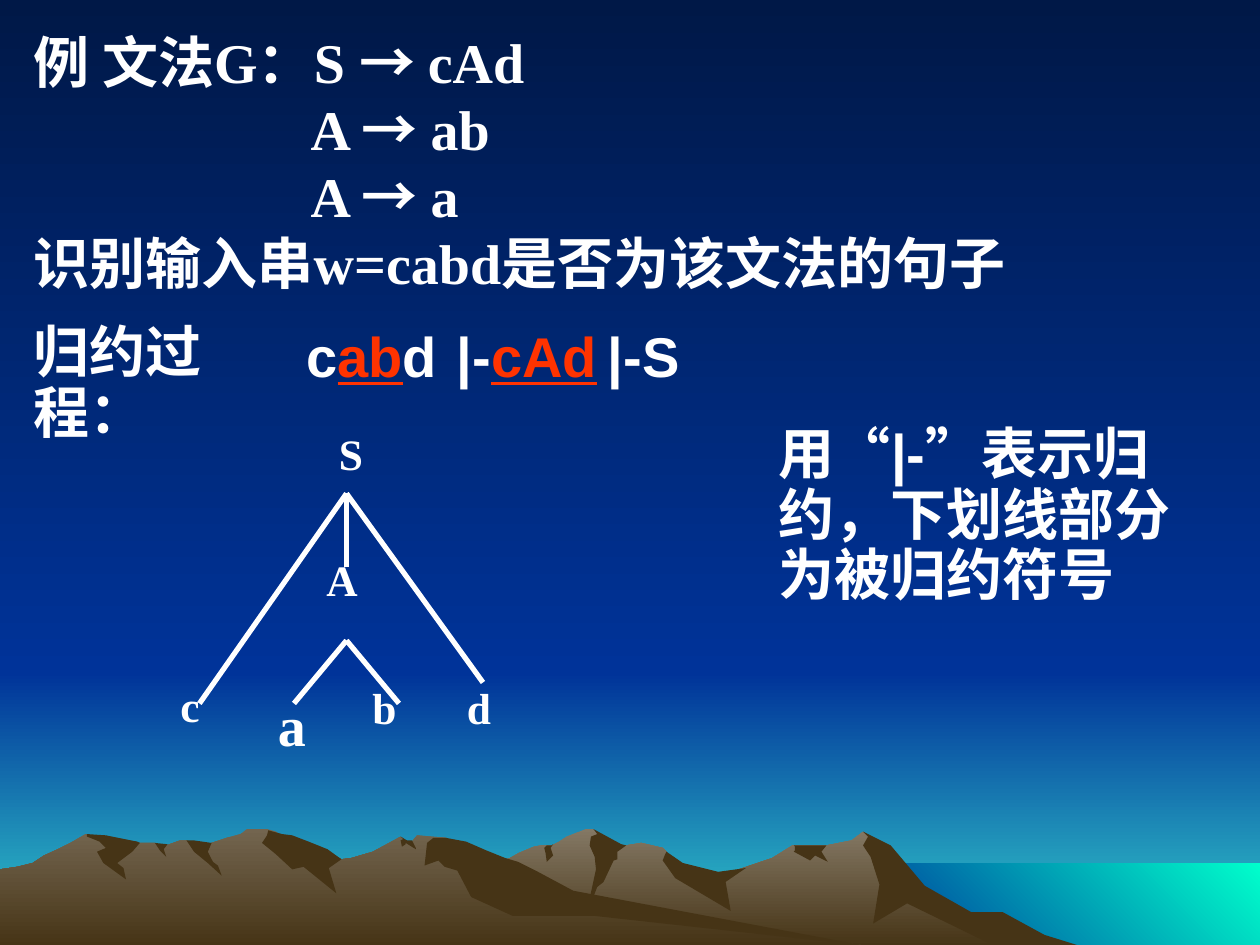
from lxml import etree
from pptx import Presentation
from pptx.dml.color import RGBColor
from pptx.enum.shapes import MSO_CONNECTOR, MSO_SHAPE
from pptx.enum.text import MSO_AUTO_SIZE, PP_ALIGN
from pptx.oxml.ns import qn
from pptx.util import Inches, Pt

STRAIGHT = MSO_CONNECTOR.STRAIGHT
RECTANGLE = MSO_SHAPE.RECTANGLE
GROW = MSO_AUTO_SIZE.SHAPE_TO_FIT_TEXT
LEFT, CENTER, JUSTIFY = PP_ALIGN.LEFT, PP_ALIGN.CENTER, PP_ALIGN.JUSTIFY

NIGHT = RGBColor(0x00, 0x18, 0x47)
BLUE = RGBColor(0x00, 0x33, 0x99)
TEAL = RGBColor(0x33, 0xCC, 0xCC)
AQUA = RGBColor(0x00, 0xFF, 0xCC)
STONE = RGBColor(0x84, 0x78, 0x64)
CLAY = RGBColor(0x73, 0x65, 0x4F)
EARTH = RGBColor(0x46, 0x34, 0x16)
WHITE = RGBColor(0xFF, 0xFF, 0xFF)
RED = RGBColor(0xFF, 0x33, 0x00)

SERIF, SANS, HAN = "Times New Roman", "Arial", "Noto Sans CJK SC"
COLUMNS, ROWS = 120, 90
DOWN, UP_RIGHT = 270, 45

# Mountain outlines, in hundredths of an inch
RIGHT_RANGE = [
    (802, 740), (778, 727), (764, 723), (723, 698), (702, 671), (685, 660), (676, 667),
    (656, 671), (629, 671), (613, 681), (566, 697), (536, 690), (529, 676), (526, 673),
    (509, 669), (497, 671), (486, 673), (474, 661), (471, 658), (465, 658), (450, 664),
    (444, 668), (438, 671), (430, 671), (424, 672), (412, 677), (405, 681), (394, 685),
    (355, 698), (327, 709), (277, 739), (258, 751), (821, 751)]
RIGHT_SHADES = [
    [(796, 724), (771, 724), (734, 703), (707, 671), (685, 660), (689, 664), (685, 671),
     (691, 680), (698, 702), (693, 733), (720, 717), (792, 752), (858, 751), (829, 742)],
    [(471, 658), (474, 662), (469, 664), (468, 671), (472, 680), (473, 690), (465, 727),
     (474, 704), (479, 700), (487, 683), (490, 682), (490, 676), (497, 671), (493, 670)],
    [(529, 676), (528, 678), (526, 683), (536, 697), (580, 723), (576, 700), (592, 689),
     (570, 692), (542, 685)],
    [(650, 671), (630, 671), (631, 672), (631, 675), (630, 676), (643, 683), (647, 679),
     (657, 684), (652, 676), (656, 671)],
    [(433, 677), (432, 673), (434, 671), (438, 671), (439, 670), (437, 673), (439, 679),
     (434, 684)]]
LEFT_RANGE = [
    (690, 751), (667, 748), (432, 712), (354, 665), (331, 663), (327, 668), (323, 668),
    (318, 664), (296, 676), (279, 681), (271, 682), (260, 676), (236, 681), (223, 663),
    (219, 660), (212, 658), (196, 658), (191, 662), (180, 665), (168, 669), (160, 671),
    (148, 667), (143, 667), (132, 671), (128, 671), (123, 669), (111, 669), (94, 671),
    (68, 662), (56, 669), (46, 674), (35, 679), (26, 685), (14, 688), (0, 690), (0, 751)]
LEFT_SHADES = [
    [(212, 663), (208, 669), (219, 678), (232, 690), (241, 688), (267, 709), (261, 689),
     (271, 682), (260, 674), (245, 668), (232, 663), (224, 662), (213, 659)],
    [(370, 668), (354, 665), (344, 665), (339, 669), (337, 687), (348, 683), (353, 688),
     (363, 691), (374, 712), (407, 727), (472, 727), (690, 751), (683, 750), (455, 707),
     (427, 692), (411, 684), (401, 681), (386, 675)],
    [(318, 667), (320, 666), (318, 664), (323, 667), (327, 667), (330, 673), (330, 674),
     (322, 669), (322, 670), (319, 672)],
    [(154, 667), (168, 669), (165, 676), (169, 684), (173, 687), (176, 695), (165, 685),
     (154, 676), (148, 667)],
    [(133, 670), (130, 674), (132, 680), (127, 675), (123, 669)],
    [(109, 668), (111, 669), (105, 676), (93, 685), (98, 689), (100, 698), (82, 685),
     (77, 676), (84, 673), (79, 668), (69, 664), (69, 662), (84, 663), (94, 665)]]


class SlideBuilder:
    """Draws styled elements on a slide, measured in grid columns and rows."""

    def __init__(self, deck):
        self.slide = deck.slides.add_slide(deck.slide_layouts[6])
        self.column = deck.slide_width / COLUMNS
        self.row = deck.slide_height / ROWS

    def place(self, *lengths):
        units = (self.column, self.row) * 2
        return [round(length * unit) for length, unit in zip(lengths, units)]

    def paint(self, fill, colors, angle=DOWN):
        if len(colors) == 1:
            fill.solid()
            fill.fore_color.rgb = colors[0]
            return
        fill.gradient()
        fill.gradient_angle = angle
        for stop, color in zip(fill.gradient_stops, colors):
            stop.color.rgb = color

    def finish(self, shape, colors, angle=DOWN):
        shape.shadow.inherit = False
        shape.line.fill.background()
        self.paint(shape.fill, colors, angle)

    def band(self, at, colors, angle=DOWN):
        shape = self.slide.shapes.add_shape(RECTANGLE, *self.place(*at))
        self.finish(shape, colors, angle)

    def outline(self, points, *colors):
        builder = self.slide.shapes.build_freeform(*points[0], scale=Inches(0.01))
        builder.add_line_segments(points[1:], close=True)
        self.finish(builder.convert_to_shape(), colors)

    def line(self, start, end):
        connector = self.slide.shapes.add_connector(
            STRAIGHT, *self.place(*start, *end))
        connector.line.color.rgb = WHITE
        connector.line.width = Pt(3)
        etree.SubElement(connector._element.spPr, qn("a:effectLst"))

    def text(self, at, paragraphs, align=LEFT, size=32, spacing=None, before=0,
             indents=(), wrap=True, grow=False):
        box = self.slide.shapes.add_textbox(*self.place(*at))
        frame = box.text_frame
        frame.word_wrap = wrap
        if grow:
            frame.auto_size = GROW
        for index, spans in enumerate(paragraphs):
            para = frame.add_paragraph() if index else frame.paragraphs[0]
            para.alignment = align
            para.space_before = Pt(0 if index else before)
            if spacing:
                para.line_spacing = spacing
            properties = para._p.get_or_add_pPr()
            properties.set("hangingPunct", "0")
            if indents:
                properties.set("marL", str(round(indents[index] * self.column)))
            for span in spans:
                self.span(para, size, *span)

    def span(self, para, size, words, font=SERIF, marked=False):
        run = para.add_run()
        run.text = words
        run.font.name = font
        run.font.size = Pt(size)
        run.font.bold = True
        run.font.underline = marked
        run.font.color.rgb = RED if marked else WHITE
        east_asian = etree.Element(qn("a:ea"), typeface=HAN)
        run._r.rPr.find(qn("a:latin")).addnext(east_asian)

    def node(self, letter, at, size=24.8, spacing=0.8):
        self.text(at, [[(letter,)]], JUSTIFY, size, spacing)

    def branches(self, top, ends):
        for end in ends:
            self.line(top, end)


def main():
    deck = Presentation()
    deck.slide_width, deck.slide_height = Inches(10), Inches(7.5)
    page = SlideBuilder(deck)

    # Sky, sea and mountains
    page.paint(page.slide.background.fill, (NIGHT, BLUE))
    page.band((0, 64, COLUMNS, 26), (BLUE, TEAL))
    page.band((0, 0, COLUMNS, 64), (NIGHT, BLUE))
    page.band((82, 82.2, 38, 7.8), (BLUE, AQUA), UP_RIGHT)
    for ridge, top_color, shades in ((RIGHT_RANGE, STONE, RIGHT_SHADES),
                                     (LEFT_RANGE, CLAY, LEFT_SHADES)):
        page.outline(ridge, top_color, EARTH)
        for shade in shades:
            page.outline(shade, EARTH)

    # Grammar and question
    arrow = ("→ ", HAN)
    page.text((2, 2, 108, 28), [
        [("例 文法G：S ",), arrow, ("cAd",)],
        [("A ",), arrow, ("ab",)],
        [("A ",), arrow, ("a",)],
        [("识别输入串w=cabd是否为该文法的句子",)],
    ], before=8, indents=(0, 26.4, 26.4, 0))

    # Reduction steps
    page.text((2, 30.3, 26, 7), [[("归约过程：",)]], spacing=0.9, before=20, grow=True)
    steps = [
        (27.4, 16, [("c", SANS), ("ab", SANS, True), ("d", SANS)]),
        (41.7, 17, [("|-", SANS), ("cAd", SANS, True)]),
        (56.3, 10, [("|-S", SANS)]),
    ]
    for left, width, spans in steps:
        page.text((left, 30, width, 7.7), [spans], CENTER, wrap=False, grow=True)
    page.text((73, 40, 43, 18.5), [
        [("用“",), ("|-", SANS), ("”表示归约，下划线部分为被归约符号",)],
    ], spacing=0.9, before=20, grow=True)

    # Syntax tree
    page.node("S", (31.1, 41, 8.9, 6.6))
    page.node("A", (29.9, 53, 6.7, 6.6))
    page.node("c", (16, 65, 6.7, 6.6))
    page.node("a", (25.3, 65.2, 6.7, 8.8), size=32, spacing=None)
    page.node("b", (34.3, 65.2, 6.7, 6.6))
    page.node("d", (43.3, 65.2, 6.7, 6.6))
    page.branches((33, 47), [(19, 67), (33, 54), (46, 65)])
    page.branches((33, 61), [(28, 67), (38, 67)])

    deck.save("out.pptx")


if __name__ == "__main__":
    main()
